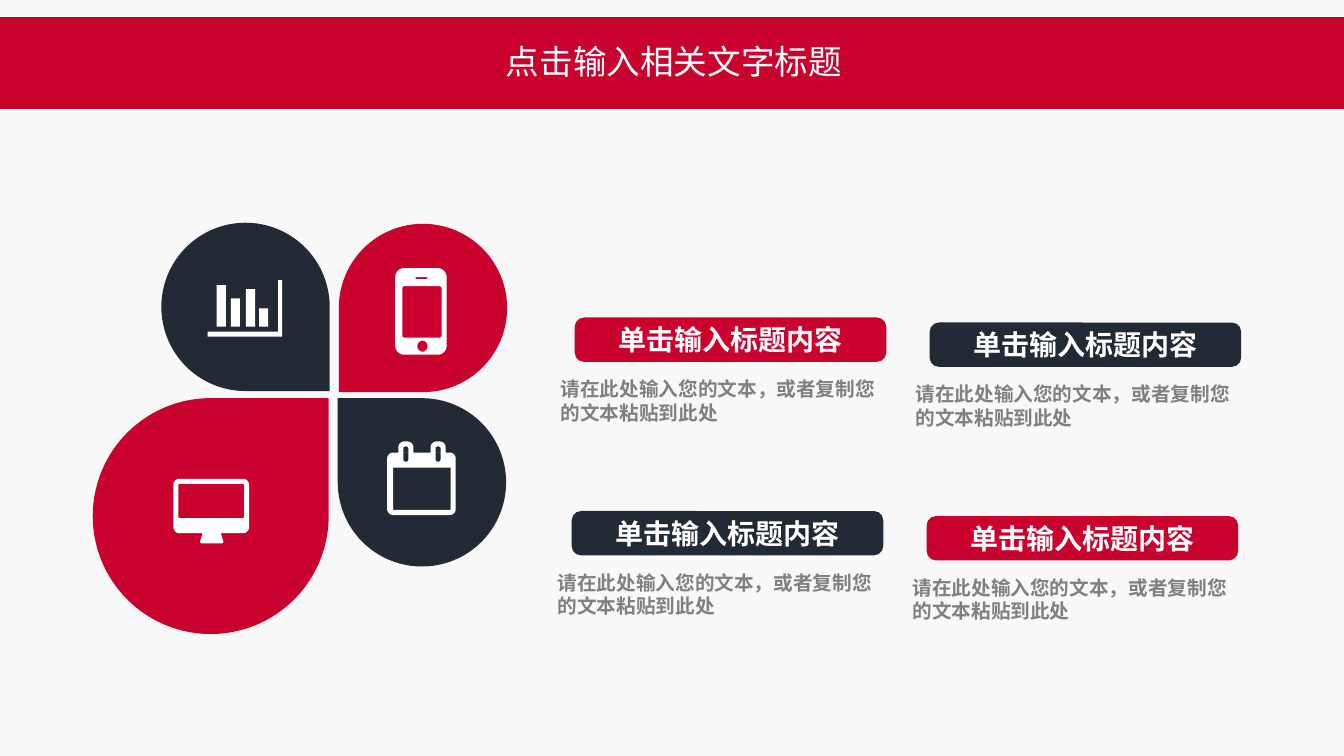
"""Build a slide with a four-petal icon figure and four captioned cards."""
from math import cos, hypot, pi, sin

from lxml import etree
from pptx import Presentation
from pptx.dml.color import RGBColor
from pptx.enum.shapes import MSO_SHAPE
from pptx.enum.text import MSO_ANCHOR, MSO_AUTO_SIZE, PP_ALIGN
from pptx.oxml.ns import qn
from pptx.util import Inches, Pt

RECTANGLE, ROUNDED, TEARDROP = MSO_SHAPE.RECTANGLE, MSO_SHAPE.ROUNDED_RECTANGLE, MSO_SHAPE.TEAR
LEFT, CENTER = PP_ALIGN.LEFT, PP_ALIGN.CENTER
TOP, MIDDLE = MSO_ANCHOR.TOP, MSO_ANCHOR.MIDDLE
FIT_SHAPE = MSO_AUTO_SIZE.SHAPE_TO_FIT_TEXT
FONT = "Noto Sans CJK SC"
COLORS = {"paper": "F8F8F8", "red": "CA032E", "navy": "222A35", "white": "FFFFFF", "gray": "808080"}
ARC_STEPS = 8


def write_text(shape, text, size, color, bold=False, align=LEFT, anchor=TOP, wrap=True, insets=(0.1, 0.05)):
    """Write one formatted paragraph into a shape."""
    frame = shape.text_frame
    frame.word_wrap = wrap
    frame.vertical_anchor = anchor
    frame.margin_left = frame.margin_right = Inches(insets[0])
    frame.margin_top = frame.margin_bottom = Inches(insets[1])
    paragraph = frame.paragraphs[0]
    paragraph.alignment = align
    run = paragraph.add_run()
    run.text = text
    run.font.size = Pt(size)
    run.font.bold = bold
    run.font.color.rgb = RGBColor.from_string(COLORS[color])
    run.font.name = FONT
    etree.SubElement(run._r.get_or_add_rPr(), qn("a:ea"), typeface=FONT)


def rounded_outline(left, top, right, bottom, top_radius=0, bottom_radius=0, top_inset=0):
    """Return the points of a box or trapezoid with rounded corners."""
    corners = [(left + top_inset, top, top_radius), (right - top_inset, top, top_radius),
               (right, bottom, bottom_radius), (left, bottom, bottom_radius)]
    points = []
    for index, (x, y, radius) in enumerate(corners):
        before, after = corners[index - 1], corners[(index + 1) % 4]
        back, ahead = hypot(before[0] - x, before[1] - y), hypot(after[0] - x, after[1] - y)
        for step in range(ARC_STEPS + 1 if radius else 1):
            angle = pi / 2 * step / ARC_STEPS
            to_before = radius * (1 - sin(angle)) / back
            to_after = radius * (1 - cos(angle)) / ahead
            points.append((Inches(x + (before[0] - x) * to_before + (after[0] - x) * to_after),
                           Inches(y + (before[1] - y) * to_before + (after[1] - y) * to_after)))
    return points


presentation = Presentation()
presentation.slide_width, presentation.slide_height = Inches(13.33), Inches(7.5)
slide = presentation.slides.add_slide(presentation.slide_layouts[5])
slide.background.fill.solid()
slide.background.fill.fore_color.rgb = RGBColor.from_string(COLORS["paper"])
filled = []

band = slide.shapes.add_shape(RECTANGLE, 0, Inches(0.17), presentation.slide_width, Inches(0.91))
filled.append((band, "red"))
title = slide.shapes.title
title.element.addprevious(band.element)
title.left, title.top, title.width, title.height = map(Inches, (4.9, 0.36, 3.57, 0.5))
write_text(title, "点击输入相关文字标题", size=24, color="white", align=CENTER, anchor=MIDDLE, wrap=False)

calendar = [(3.84, 4.49, 4.52, 5.11, 0.06, 0.06), (3.9, 4.64, 4.47, 5.06)]
for ring in (3.95, 4.27):
    calendar += [(ring, 4.38, ring + 0.15, 4.49, 0.06),
                 (ring + 0.05, 4.43, ring + 0.1, 4.58, 0.02, 0.02)]
monitor = [(1.72, 4.75, 2.47, 5.29, 0.06, 0.06), (1.77, 4.8, 2.42, 5.14, 0.01, 0.01),
           (1.98, 5.29, 2.22, 5.39, 0, 0.02, 0.03)]
bar_chart = [(2.06, 3.29, 2.8, 3.34), (2.76, 2.78, 2.8, 3.29)]
bar_chart += [(left, top, left + 0.09, 3.24)
              for left, top in ((2.15, 2.83), (2.29, 2.96), (2.44, 2.87), (2.57, 3.06))]
phone = [(3.92, 2.66, 4.43, 3.52, 0.09, 0.09), (3.99, 2.84, 4.38, 3.35, 0.02, 0.02),
         (4.12, 2.75, 4.24, 2.77, 0.01, 0.01), (4.14, 3.38, 4.24, 3.49, 0.05, 0.05)]

petals = [(3.35, 3.95, 1.67, 270, "navy", calendar), (0.92, 3.95, 2.34, 0, "red", monitor),
          (1.6, 2.21, 1.67, 90, "navy", bar_chart), (3.36, 2.22, 1.67, 180, "red", phone)]
for left, top, size, rotation, color, icon_parts in petals:
    petal = slide.shapes.add_shape(TEARDROP, *map(Inches, (left, top, size, size)))
    petal.rotation = rotation
    outlines = [rounded_outline(*part) for part in icon_parts]
    builder = slide.shapes.build_freeform(*outlines[0][0])
    for outline in outlines:
        if outline is not outlines[0]:
            builder.move_to(*outline[0])
        builder.add_line_segments(outline[1:], close=True)
    filled += [(petal, color), (builder.convert_to_shape(), "white")]

for row in range(2):
    for column in range(2):
        left = 5.7 + 3.52 * column - 0.03 * row
        top = 3.15 + 0.05 * column + 1.92 * row
        heading = slide.shapes.add_shape(ROUNDED, *map(Inches, (left, top, 3.09, 0.44)))
        heading.adjustments[0] = 0.21
        filled.append((heading, ("red", "navy")[(row + column) % 2]))
        write_text(heading, "单击输入标题内容", size=20, color="white", bold=True, align=CENTER, anchor=MIDDLE)
        caption = slide.shapes.add_textbox(*map(Inches, (left - 0.21, top + 0.55, 3.32, 0.55)))
        write_text(caption, "请在此处输入您的文本，或者复制您的文本粘贴到此处", size=14, color="gray",
                   bold=True, insets=(0.07, 0.04))
        caption.text_frame.auto_size = FIT_SHAPE

for shape, color in filled:
    shape.shadow.inherit = False
    shape.fill.solid()
    shape.fill.fore_color.rgb = RGBColor.from_string(COLORS[color])
    shape.line.fill.background()

presentation.save("out.pptx")
